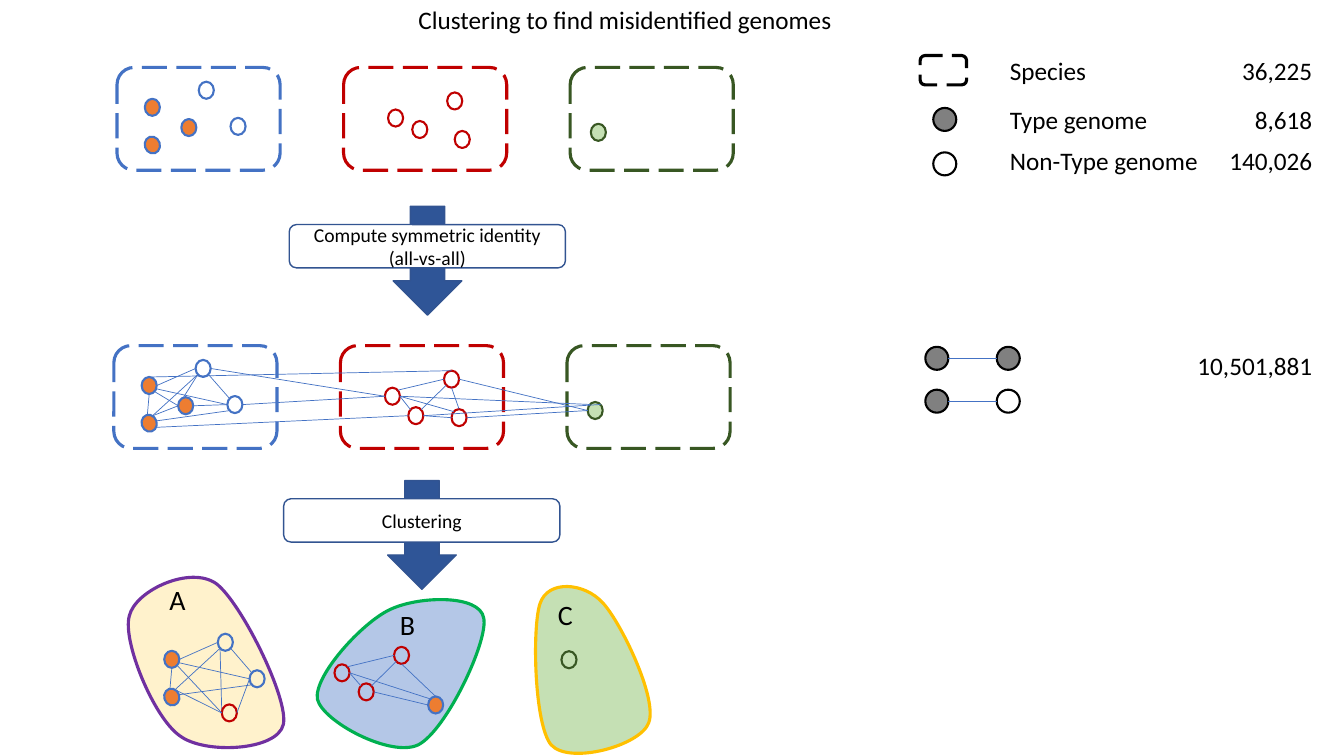
from math import cos, radians, sin

from lxml.etree import SubElement
from pptx import Presentation
from pptx.dml.color import RGBColor
from pptx.enum.dml import MSO_LINE
from pptx.enum.shapes import MSO_CONNECTOR, MSO_SHAPE
from pptx.enum.text import MSO_ANCHOR, PP_ALIGN
from pptx.oxml.ns import qn
from pptx.util import Cm, Pt

BLACK, WHITE = RGBColor(0, 0, 0), RGBColor(255, 255, 255)
GRAY = RGBColor(0x80, 0x80, 0x80)
BLUE, PALE_BLUE = RGBColor(0x44, 0x72, 0xC4), RGBColor(0xB4, 0xC7, 0xE7)
ARROW_BLUE, ARROW_EDGE = RGBColor(0x2F, 0x55, 0x97), RGBColor(0x32, 0x54, 0x91)
RED, ORANGE = RGBColor(0xC0, 0, 0), RGBColor(0xED, 0x7D, 0x31)
DARK_GREEN, PALE_GREEN = RGBColor(0x38, 0x57, 0x23), RGBColor(0xC5, 0xE0, 0xB4)
GREEN, PURPLE = RGBColor(0, 0xB0, 0x50), RGBColor(0x70, 0x30, 0xA0)
GOLD, CREAM = RGBColor(0xFF, 0xC0, 0), RGBColor(0xFF, 0xF2, 0xCC)

NODE_WIDTH, NODE_HEIGHT = 0.38, 0.43
NODE_STYLES = {
    "type": (ORANGE, BLUE, 0), "tilted": (ORANGE, BLUE, -17.8),
    "blue": (None, BLUE, 0), "red": (None, RED, 0), "green": (PALE_GREEN, DARK_GREEN, 0),
}
SITE_ANGLES = {site: 45 * step for step, site in enumerate("E SE S SW W NW N NE".split())}

SPECIES_NODES = {
    "t1": (0.7, 0.79, "type"), "hub": (1.62, 1.3, "type"), "t3": (0.7, 1.74, "tilted"),
    "n1": (2.06, 0.36, "blue"), "n2": (2.86, 1.27, "blue"),
    "r1": (8.32, 0.63, "red"), "r2": (6.83, 1.06, "red"),
    "r3": (8.51, 1.6, "red"), "r4": (7.44, 1.35, "red"), "g": (11.94, 1.42, "green"),
}
BLUE_BACK_LINKS = ["t1 S t3 SW", "hub W n1 SW", "t1 W n2 W"]
BLUE_LINKS = ["t1 E n1 W", "t1 SE hub W", "hub W t3 NE", "t3 E n2 SW",
              "n2 NW n1 SE", "hub E n2 W", "t3 NE n1 SW"]
RED_LINKS = ["r2 E r4 NW", "r2 NE r1 W", "r2 E r3 NW", "r4 NE r1 SW", "r3 N r1 S", "r3 W r4 E"]
CROSS_LINKS = ["r1 E g W", "r3 E g W", "r4 E g NE", "r2 E g NW",
               "n2 E r2 W", "n1 E r2 W", "t3 SE r4 W", "t1 N r1 N"]

OUTLINE_A = [(2.21, 0.15), (2.84, 0.61), (4.06, 3.07), (3.91, 3.71), (3.76, 4.37), (1.93, 4.47),
             (1.3, 3.99), (0.64, 3.53), (-0.15, 1.6), (0.03, 0.97), (0.18, 0.33), (1.55, -0.3),
             (2.21, 0.15)]
OUTLINE_B = [(4.19, 0.46), (4.32, 1.02), (3.25, 3.3), (2.54, 3.66), (1.85, 3.99), (0.13, 3.07),
             (0, 2.51), (-0.1, 1.93), (1.12, 0.58), (1.83, 0.25), (2.57, -0.1), (4.09, -0.13),
             (4.19, 0.46)]
OUTLINE_C = [(1.68, 0.41), (2.13, 0.89), (3.07, 2.82), (2.84, 3.43), (2.64, 4.01), (0.84, 4.5),
             (0.38, 3.99), (-0.05, 3.48), (-0.1, 1.02), (0.1, 0.43), (0.3, -0.18), (1.22, -0.1),
             (1.68, 0.41)]


def write_text(shape, text, size=18, align=PP_ALIGN.LEFT, anchor=MSO_ANCHOR.TOP):
    """Put formatted text into a shape."""
    frame = shape.text_frame
    frame.word_wrap, frame.vertical_anchor = True, anchor
    frame.text = text
    paragraph = frame.paragraphs[0]
    paragraph.alignment = align
    font = paragraph.runs[0].font
    font.name, font.size, font.color.rgb = "Calibri", Pt(size), BLACK


def add_label(slide, left, top, width, text, height=1.02, **text_format):
    """Add a text box."""
    box = slide.shapes.add_textbox(Cm(left), Cm(top), Cm(width), Cm(height))
    write_text(box, text, **text_format)


def paint(shape, fill, line, weight):
    """Set fill, outline and shadow of a shape."""
    shape.shadow.inherit = False
    if fill is None:
        shape.fill.background()
    else:
        shape.fill.solid()
        shape.fill.fore_color.rgb = fill
    shape.line.color.rgb, shape.line.width = line, Pt(weight)


def add_preset(slide, kind, left, top, width, height, fill, line, weight):
    """Add a painted preset shape."""
    shape = slide.shapes.add_shape(kind, Cm(left), Cm(top), Cm(width), Cm(height))
    paint(shape, fill, line, weight)
    return shape


def add_link(slide, start, end, weight=0.5):
    """Add a thin blue line between two points."""
    link = slide.shapes.add_connector(MSO_CONNECTOR.STRAIGHT, *map(Cm, (*start, *end)))
    link.line.color.rgb, link.line.width = BLUE, Pt(weight)
    SubElement(link._element.spPr, qn("a:effectLst"))


def add_dashed_box(slide, left, top, width, height, color):
    """Add a rounded species frame."""
    frame = add_preset(slide, MSO_SHAPE.ROUNDED_RECTANGLE, left, top, width, height,
                       None, color, 2.25)
    frame.line.dash_style = MSO_LINE.LONG_DASH


def add_nodes(slide, left, top, nodes):
    """Draw genome nodes at their offsets."""
    for x, y, style in nodes.values():
        fill, line, turn = NODE_STYLES[style]
        node = add_preset(slide, MSO_SHAPE.OVAL, left + x, top + y, NODE_WIDTH, NODE_HEIGHT,
                          fill, line, 1.5)
        node.rotation = turn


def site_point(left, top, node, site):
    """Return the point on the rim of a node at a compass site."""
    x, y, style = node
    angle, turn = radians(SITE_ANGLES[site]), radians(NODE_STYLES[style][2])
    dx, dy = NODE_WIDTH / 2 * cos(angle), NODE_HEIGHT / 2 * sin(angle)
    return (left + x + NODE_WIDTH / 2 + dx * cos(turn) - dy * sin(turn),
            top + y + NODE_HEIGHT / 2 + dx * sin(turn) + dy * cos(turn))


def add_links(slide, left, top, nodes, links):
    """Join nodes as listed."""
    for link in links:
        first, first_site, second, second_site = link.split()
        add_link(slide, site_point(left, top, nodes[first], first_site),
                 site_point(left, top, nodes[second], second_site))


def add_species_row(slide, left, top, nodes, back_links=(), links=()):
    """Draw three species frames with their genomes."""
    add_links(slide, left, top, nodes, back_links)
    for column, color in enumerate((BLUE, RED, DARK_GREEN)):
        add_dashed_box(slide, left + 5.71 * column, top, 4.11, 2.59, color)
    add_nodes(slide, left, top, nodes)
    add_links(slide, left, top, nodes, links)


def add_step(slide, left, top, text):
    """Draw a down arrow with a caption across it."""
    add_preset(slide, MSO_SHAPE.DOWN_ARROW, left + 2.62, top, 1.73, 2.74,
               ARROW_BLUE, ARROW_EDGE, 1)
    caption = add_preset(slide, MSO_SHAPE.ROUNDED_RECTANGLE, left, top + 0.46, 6.96, 1.09,
                         WHITE, ARROW_EDGE, 1)
    write_text(caption, text, size=14, align=PP_ALIGN.CENTER, anchor=MSO_ANCHOR.MIDDLE)


def add_blob(slide, left, top, width, height, outline):
    """Add a closed freeform of cubic curves that fills the given box."""
    builder = slide.shapes.build_freeform(Cm(left), Cm(top))
    builder.add_line_segments([(Cm(left + width), Cm(top + height))])
    blob = builder.convert_to_shape()
    route = next(blob._element.iter(qn("a:path")))
    for segment in list(route):
        route.remove(segment)
    curves = [outline[first:first + 3] for first in range(1, len(outline), 3)]
    for tag, points in [("a:moveTo", outline[:1]), *(("a:cubicBezTo", c) for c in curves)]:
        segment = SubElement(route, qn(tag))
        for x, y in points:
            SubElement(segment, qn("a:pt"), x=str(Cm(x)), y=str(Cm(y)))
    SubElement(route, qn("a:close"))
    return blob


def add_cluster(slide, box, outline, fill, line, name, name_at, nodes, back_links=(), links=()):
    """Draw a rounded cluster with its name, nodes and links."""
    left, top = box[:2]
    paint(add_blob(slide, *box, outline), fill, line, 2.25)
    add_label(slide, left + name_at[0], top + name_at[1], 0.89, name, height=1.12, size=20)
    add_links(slide, left, top, nodes, back_links)
    add_nodes(slide, left, top, nodes)
    add_links(slide, left, top, nodes, links)


def add_legend(slide, left, top):
    """Draw the key with counts."""
    add_dashed_box(slide, left, top + 0.13, 1.17, 0.74, BLACK)
    for offset, fill in ((1.45, GRAY), (2.57, None)):
        add_preset(slide, MSO_SHAPE.OVAL, left + 0.33, top + offset, 0.58, 0.58, fill, BLACK, 1.5)
    for offset, name, width, count, count_width in (
            (0, "Species", 2.54, "36,225", 2.54), (1.24, "Type genome", 3.99, "8,618", 2.54),
            (2.26, "Non-Type genome", 5.56, "140,026", 3.45)):
        add_label(slide, left + 2.01, top + offset, width, name)
        add_label(slide, left + 10.13 - count_width, top + offset, count_width, count,
                  align=PP_ALIGN.RIGHT)


def add_pair_count(slide, left, top):
    """Draw the compared genome pairs and their number."""
    for row, partner in enumerate((GRAY, None)):
        y = top + 1.08 * row
        for x, fill in ((left, GRAY), (left + 1.8, partner)):
            add_preset(slide, MSO_SHAPE.OVAL, x, y, 0.58, 0.58, fill, BLACK, 1.5)
        add_link(slide, (left + 0.58, y + 0.29), (left + 1.8, y + 0.29), weight=0.75)
    add_label(slide, left + 6.55, top - 0.03, 3.45, "10,501,881", align=PP_ALIGN.RIGHT)


def main():
    """Build and save the slide."""
    presentation = Presentation()
    presentation.slide_width, presentation.slide_height = Cm(33.87), Cm(19.05)
    slide = presentation.slides.add_slide(presentation.slide_layouts[5])
    title = slide.shapes.title
    title.left, title.top, title.width, title.height = Cm(10.29), Cm(-0.03), Cm(13.36), Cm(1.02)
    write_text(title, "Clustering to find misidentified genomes")
    add_legend(slide, 23.19, 1.27)
    add_species_row(slide, 2.95, 1.7, SPECIES_NODES)
    add_species_row(slide, 2.87, 8.71, SPECIES_NODES | {"r4": (7.42, 1.55, "red")},
                    BLUE_BACK_LINKS, BLUE_LINKS + RED_LINKS + CROSS_LINKS)
    add_step(slide, 7.29, 5.2, "Compute symmetric identity (all-vs-all)")
    add_step(slide, 7.15, 12.11, "Clustering")
    nodes_a = {"t1": (0.91, 1.85, "type"), "hub": (2.36, 3.2, "red"), "t3": (0.91, 2.8, "tilted"),
               "n1": (2.26, 1.42, "blue"), "n2": (3.06, 2.34, "blue")}
    nodes_b = {"r1": (1.93, 1.19, "red"), "r2": (0.43, 1.63, "red"),
               "r3": (2.79, 2.44, "type"), "r4": (1.04, 2.11, "red")}
    add_cluster(slide, (3.23, 14.55, 3.94, 4.29), OUTLINE_A, CREAM, PURPLE, "A", (0.79, 0),
                nodes_a, BLUE_BACK_LINKS, BLUE_LINKS)
    add_cluster(slide, (8, 15.11, 4.22, 3.73), OUTLINE_B, PALE_BLUE, GREEN, "B", (1.83, 0.08),
                nodes_b, links=RED_LINKS)
    add_cluster(slide, (13.51, 14.78, 2.9, 4.19), OUTLINE_C, PALE_GREEN, GOLD, "C", (0.3, 0.15),
                {"g": (0.64, 1.63, "green")})
    add_pair_count(slide, 23.32, 8.74)
    presentation.save("out.pptx")


if __name__ == "__main__":
    main()
